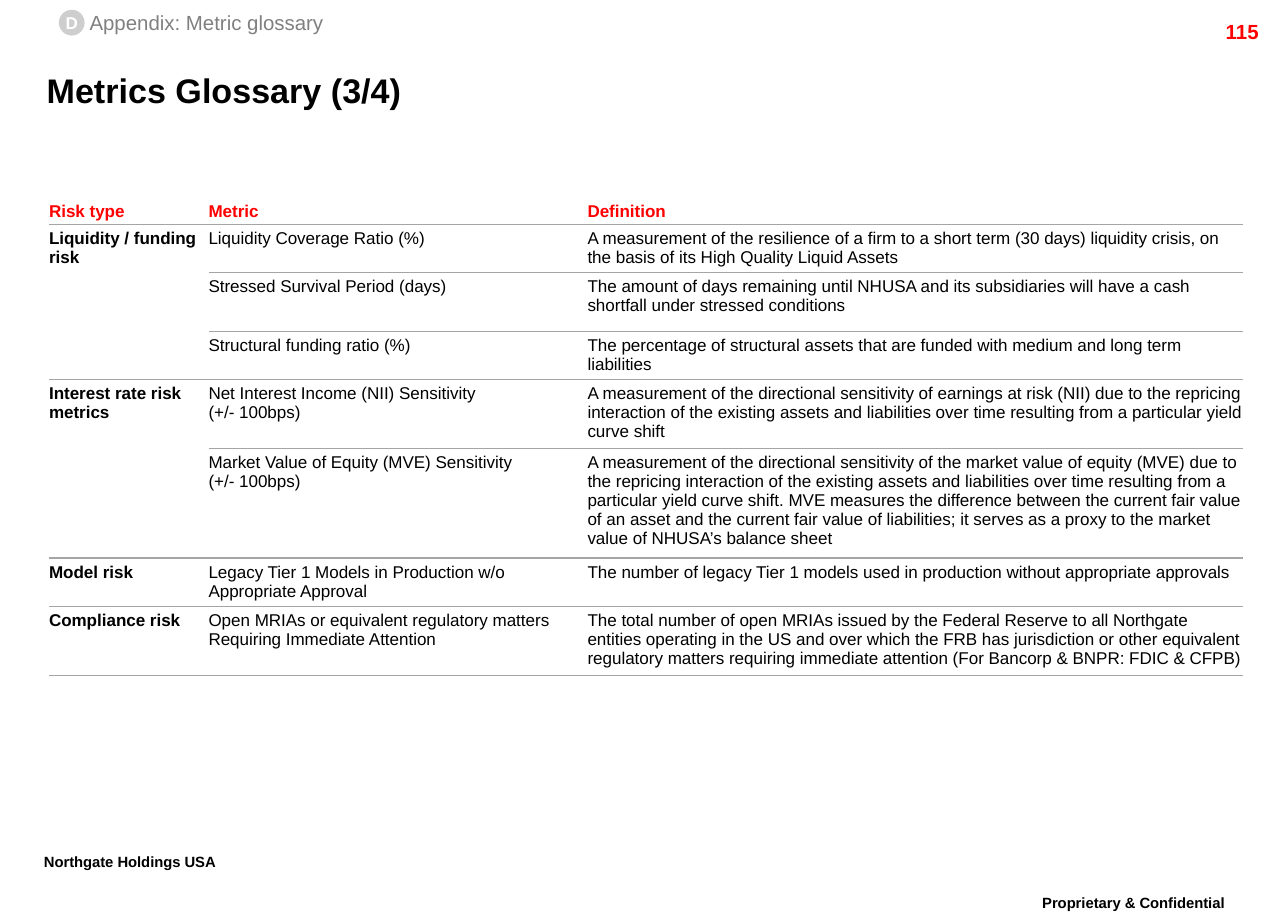
from lxml import etree
from pptx import Presentation
from pptx.dml.color import RGBColor
from pptx.enum.shapes import MSO_SHAPE
from pptx.enum.text import MSO_ANCHOR, PP_ALIGN
from pptx.oxml.ns import qn
from pptx.util import Inches, Pt

LEFT, CENTER, RIGHT = PP_ALIGN.LEFT, PP_ALIGN.CENTER, PP_ALIGN.RIGHT
TOP, MIDDLE, BOTTOM = MSO_ANCHOR.TOP, MSO_ANCHOR.MIDDLE, MSO_ANCHOR.BOTTOM
OVAL = MSO_SHAPE.OVAL

BLACK = RGBColor(0, 0, 0)
WHITE = RGBColor(0xFF, 0xFF, 0xFF)
RED = RGBColor(0xFF, 0, 0)
GREY = RGBColor(0x80, 0x80, 0x80)
PALE = RGBColor(0xCE, 0xCE, 0xCE)
RULE = RGBColor(0xA5, 0xA5, 0xA5)
PLAIN_STYLE = "{2D5ABB26-0587-4C30-8999-92F81FD0307C}"

TITLE = "Metrics Glossary (3/4)"
SECTION = "Appendix: Metric glossary"
HEAD = ("Risk type", "Metric", "Definition")
# Risk type, then its metrics: name, definition, row height
RISKS = [
    ("Liquidity / funding risk", [
        ("Liquidity Coverage Ratio (%)",
         "A measurement of the resilience of a firm to a short term (30 days) "
         "liquidity crisis, on the basis of its High Quality Liquid Assets", 0.37),
        ("Stressed Survival Period (days)",
         "The amount of days remaining until NHUSA and its subsidiaries will "
         "have a cash shortfall under stressed conditions", 0.48),
        ("Structural funding ratio (%)",
         "The percentage of structural assets that are funded with medium and "
         "long term liabilities", 0.37),
    ]),
    ("Interest rate risk metrics", [
        ("Net Interest Income (NII) Sensitivity\v(+/- 100bps)",
         "A measurement of the directional sensitivity of earnings at risk (NII) "
         "due to the repricing interaction of the existing assets and liabilities "
         "over time resulting from a particular yield curve shift", 0.53),
        ("Market Value of Equity (MVE) Sensitivity\v(+/- 100bps)",
         "A measurement of the directional sensitivity of the market value of "
         "equity (MVE) due to the repricing interaction of the existing assets and "
         "liabilities over time resulting from a particular yield curve shift. MVE "
         "measures the difference between the current fair value of an asset and "
         "the current fair value of liabilities; it serves as a proxy to the market "
         "value of NHUSA’s balance sheet", 0.83),
    ]),
    ("Model risk", [
        ("Legacy Tier 1 Models in Production w/o Appropriate Approval",
         "The number of legacy Tier 1 models used in production without "
         "appropriate approvals", 0.37),
    ]),
    ("Compliance risk", [
        ("Open MRIAs or equivalent regulatory matters Requiring Immediate Attention",
         "The total number of open MRIAs issued by the Federal Reserve to all "
         "Northgate entities operating in the US and over which the FRB has "
         "jurisdiction or other equivalent regulatory matters requiring immediate "
         "attention (For Bancorp & BNPR: FDIC & CFPB)", 0.53),
    ]),
]
WIDTHS = (1.3, 3.09, 5.34)
HEAD_TALL = 0.21
# Text, box, alignment
FOOTERS = [
    ("Proprietary & Confidential", (8.15, 7.25, 2.18, 0.35), CENTER),
    ("Northgate Holdings USA", (0.26, 6.91, 1.91, 0.35), LEFT),
]


def style(frame, size, color, bold=False, align=LEFT):
    for para in frame.paragraphs:
        para.alignment = align
        for run in para.runs:
            font = run.font
            font.name, font.size, font.bold = "Arial", Pt(size), bold
            font.color.rgb = color


def pad(frame, x=0, y=0):
    frame.margin_left = frame.margin_right = Inches(x)
    frame.margin_top = frame.margin_bottom = Inches(y)


def label(slide, text, box, size, color, bold=False, align=LEFT):
    frame = slide.shapes.add_textbox(*map(Inches, box)).text_frame
    frame.word_wrap = True
    frame.text = text
    style(frame, size, color, bold, align)
    return frame


def underline(cell):
    """Draw the thin grey rule below a cell."""
    line = etree.Element(qn("a:lnB"), w=str(Pt(0.75)))
    fill = etree.SubElement(line, qn("a:solidFill"))
    etree.SubElement(fill, qn("a:srgbClr"), val=str(RULE))
    cell._tc.get_or_add_tcPr().insert(0, line)


def write(cell, text, color=BLACK, bold=False, anchor=TOP):
    cell.text_frame.text = text
    cell.vertical_anchor = anchor
    style(cell.text_frame, 10, color, bold)


def glossary(slide):
    tall = [HEAD_TALL] + [m[2] for _, metrics in RISKS for m in metrics]
    frame = slide.shapes.add_table(
        len(tall), len(WIDTHS), Inches(0.4), Inches(1.6),
        Inches(sum(WIDTHS)), Inches(sum(tall)))
    table = frame.table
    table.horz_banding = table.first_row = False
    table._tbl.tblPr.find(qn("a:tableStyleId")).text = PLAIN_STYLE
    for col, width in zip(table.columns, WIDTHS):
        col.width = Inches(width)
    for row, height in zip(table.rows, tall):
        row.height = Inches(height)
    for cell in table.iter_cells():
        cell.fill.background()
        cell.margin_left = cell.margin_right = 0
        cell.margin_top, cell.margin_bottom = Inches(0.04), Inches(0.02)

    for col, text in enumerate(HEAD):
        write(table.cell(0, col), text, RED, True, BOTTOM)
        underline(table.cell(0, col))
    row = 1
    for risk, metrics in RISKS:
        first, last = table.cell(row, 0), table.cell(row + len(metrics) - 1, 0)
        write(first, risk, bold=True)
        underline(first)
        if len(metrics) > 1:
            underline(last)
            first.merge(last)
        for name, meaning, _ in metrics:
            for col, text in enumerate((name, meaning), 1):
                write(table.cell(row, col), text)
                underline(table.cell(row, col))
            row += 1


def main():
    prs = Presentation()
    prs.slide_width, prs.slide_height = Inches(10.5), Inches(7.5)
    slide = prs.slides.add_slide(prs.slide_layouts[5])

    title = slide.shapes.title
    title.left, title.top = Inches(0.38), Inches(0.49)
    title.width, title.height = Inches(9.48), Inches(0.48)
    frame = title.text_frame
    frame.text = TITLE
    frame.vertical_anchor = MIDDLE
    pad(frame)
    style(frame, 20, BLACK, True)

    for text, box, align in FOOTERS:
        para = label(slide, text, box, 15, BLACK, True, align).paragraphs[0]
        para.line_spacing = 0.86
        para.runs[0]._r.get_or_add_rPr().set("baseline", "30000")
    label(slide, "115", (9.36, 0.11, 1, 0.24), 12, RED, True, RIGHT)

    glossary(slide)

    badge = slide.shapes.add_shape(OVAL, *map(Inches, (0.48, 0.08, 0.21, 0.21)))
    badge.shadow.inherit = False
    badge.fill.solid()
    badge.fill.fore_color.rgb = PALE
    badge.line.fill.background()
    frame = badge.text_frame
    frame.text = "D"
    frame.word_wrap = False
    frame.vertical_anchor = MIDDLE
    pad(frame)
    style(frame, 10, WHITE, True, CENTER)

    frame = label(slide, SECTION, (0.73, 0.08, 1.92, 0.2), 12, GREY)
    frame.word_wrap = False
    frame.vertical_anchor = MIDDLE
    pad(frame)

    prs.save("out.pptx")


if __name__ == "__main__":
    main()
